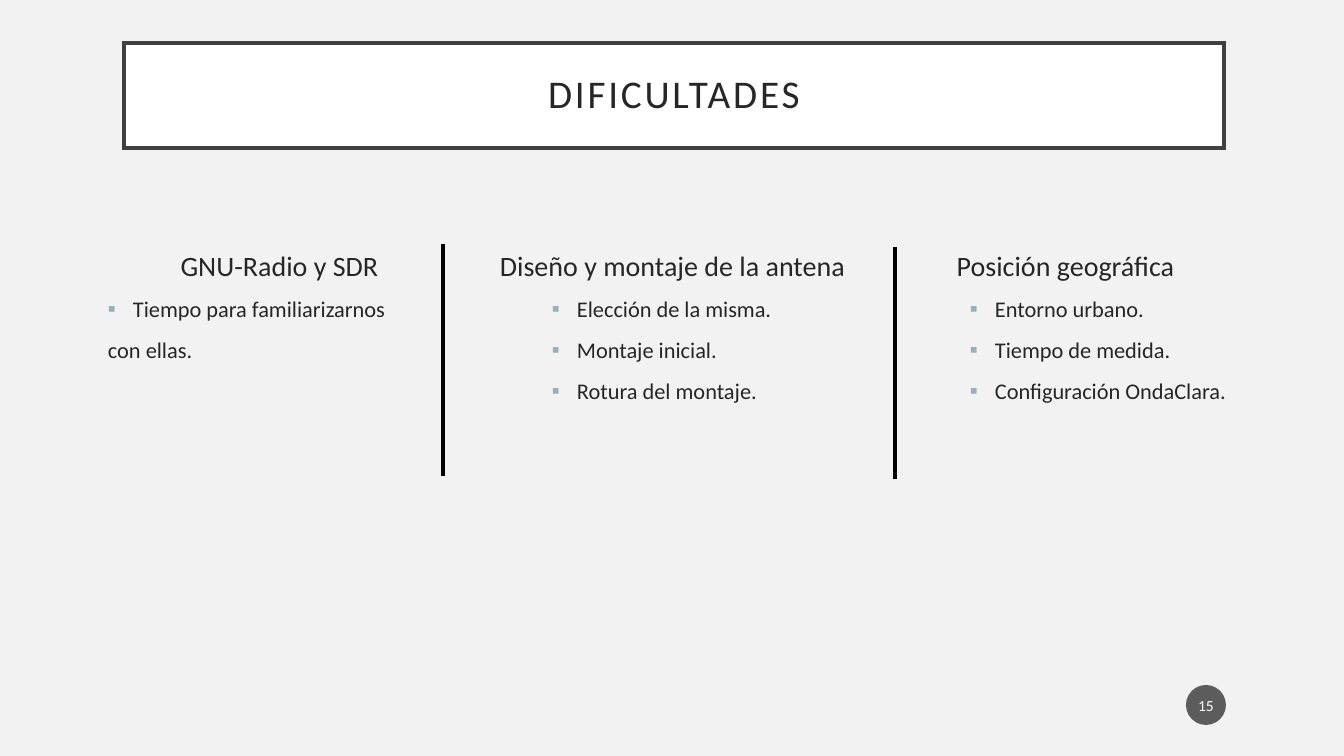
import pptx
import pptx.dml.color
import pptx.enum.shapes
import pptx.enum.text
import pptx.oxml
import pptx.oxml.ns
import pptx.util
from lxml import etree

EMU_PER_PX = 914400 / 100.8
FONT = "Calibri"
TEXT = "262626"
BULLET = "▪"
BULLET_COLOUR = "9BAFB5"
HANG = 25
ALIGN = pptx.enum.text.PP_ALIGN
ANCHOR = pptx.enum.text.MSO_ANCHOR
qn = pptx.oxml.ns.qn

# heading, indent of the list in px, lines as (text, has bullet)
COLUMNS = [
    ("GNU-Radio y SDR", 25,
     [("Tiempo para familiarizarnos", True), ("con ellas.", False)]),
    ("Diseño y montaje de la antena", 76,
     [("Elección de la misma.", True), ("Montaje inicial.", True),
      ("Rotura del montaje.", True)]),
    ("Posición geográfica", 101,
     [("Entorno urbano.", True), ("Tiempo de medida.", True),
      ("Configuración OndaClara.", True)]),
]


def px(length):
    return pptx.util.Emu(round(length * EMU_PER_PX))


def colour(value):
    return pptx.dml.color.RGBColor.from_string(value)


def place(shape, box):
    shape.left, shape.top, shape.width, shape.height = map(px, box)


def set_frame(frame, anchor, inset_x=0, inset_y=0):
    frame.word_wrap = True
    frame.auto_size = pptx.enum.text.MSO_AUTO_SIZE.NONE
    frame.vertical_anchor = anchor
    frame.margin_left = frame.margin_right = px(inset_x)
    frame.margin_top = frame.margin_bottom = px(inset_y)


def set_paragraph(paragraph, size, text_colour, align, before=0, spacing=1.0):
    paragraph.alignment = align
    paragraph.line_spacing = spacing
    paragraph.space_before = pptx.util.Pt(before)
    paragraph.space_after = pptx.util.Pt(0)
    font = paragraph.font
    font.name, font.size, font.bold = FONT, pptx.util.Pt(size), False
    font.color.rgb = colour(text_colour)


def set_bullet(paragraph, indent, bulleted):
    """Indent the paragraph, with a hanging square bullet if asked."""
    properties = paragraph._p.get_or_add_pPr()
    hang = HANG if bulleted else 0
    properties.set("marL", str(px(indent + hang)))
    properties.set("indent", str(px(-hang)))
    if bulleted:
        bullet_colour = etree.SubElement(properties, qn("a:buClr"))
        etree.SubElement(bullet_colour, qn("a:srgbClr"), val=BULLET_COLOUR)
        etree.SubElement(properties, qn("a:buFont"), typeface=FONT)
        etree.SubElement(properties, qn("a:buChar"), char=BULLET)
    else:
        etree.SubElement(properties, qn("a:buNone"))


def add_title(title, box):
    place(title, box)
    title.fill.solid()
    title.fill.fore_color.rgb = colour("FFFFFF")
    title.line.color.rgb = colour("404040")
    title.line.width = pptx.util.Pt(2.5)
    outline = title._element.spPr.find(qn("a:ln"))
    etree.SubElement(outline, qn("a:miter"), lim="800000")
    set_frame(title.text_frame, ANCHOR.MIDDLE, 20, 20)
    paragraph = title.text_frame.paragraphs[0]
    run = paragraph.add_run()
    run.text = "DIFICULTADES"
    run._r.get_or_add_rPr().set("spc", "200")
    set_paragraph(paragraph, 28, TEXT, ALIGN.CENTER, spacing=0.9)


def fill_column(placeholder, box, heading, indent, lines):
    place(placeholder, box)
    frame = placeholder.text_frame
    set_frame(frame, ANCHOR.TOP)
    paragraph = frame.paragraphs[0]
    paragraph.text = heading
    set_bullet(paragraph, 0, False)
    set_paragraph(paragraph, 20, TEXT, ALIGN.CENTER)
    for text, bulleted in lines:
        paragraph = frame.add_paragraph()
        paragraph.text = text
        paragraph.level = 1
        set_bullet(paragraph, indent, bulleted)
        set_paragraph(paragraph, 16, TEXT, ALIGN.LEFT, before=10)


def add_columns(slide, box):
    """Share the box equally between the columns, one placeholder each."""
    left, top, width, height = box
    column_width = width / len(COLUMNS)
    bodies = list(slide.placeholders)[1:]
    for index, (body, column) in enumerate(zip(bodies, COLUMNS)):
        column_box = (left + index * column_width, top, column_width, height)
        fill_column(body, column_box, *column)
    for unused in bodies[len(COLUMNS):]:
        unused._element.getparent().remove(unused._element)


def add_divider(slide, x, top, height):
    line = slide.shapes.add_connector(
        pptx.enum.shapes.MSO_CONNECTOR.STRAIGHT, px(x), px(top), px(x), px(top + height))
    line.line.color.rgb = colour("000000")
    line.line.width = pptx.util.Pt(2.5)
    etree.SubElement(line._element.spPr, qn("a:effectLst"))


def add_page_number(slide, box):
    badge = slide.shapes.add_shape(pptx.enum.shapes.MSO_SHAPE.OVAL, *map(px, box))
    badge.shadow.inherit = False
    badge.fill.solid()
    badge.fill.fore_color.rgb = colour("1D1D1D")
    fill = badge._element.spPr.find(".//" + qn("a:srgbClr"))
    etree.SubElement(fill, qn("a:alpha"), val="70000")
    badge.line.fill.background()
    set_frame(badge.text_frame, ANCHOR.MIDDLE, 2, 5)
    paragraph = badge.text_frame.paragraphs[0]
    paragraph.text = "15"
    set_paragraph(paragraph, 11, "FFFFFF", ALIGN.CENTER)


def main():
    presentation = pptx.Presentation()
    presentation.slide_width, presentation.slide_height = px(1344), px(756)
    comparison_layout = presentation.slide_layouts[4]
    slide = presentation.slides.add_slide(comparison_layout)
    slide.background.fill.solid()
    slide.background.fill.fore_color.rgb = colour("F2F2F2")
    add_title(slide.shapes.title, (124, 43, 1100, 105))
    add_page_number(slide, (1186, 685, 40, 40))
    add_columns(slide, (83, 248, 1179, 403))
    for x, top in [(443, 244), (895, 247)]:
        add_divider(slide, x, top, 232)
    presentation.save("out.pptx")


if __name__ == "__main__":
    main()
